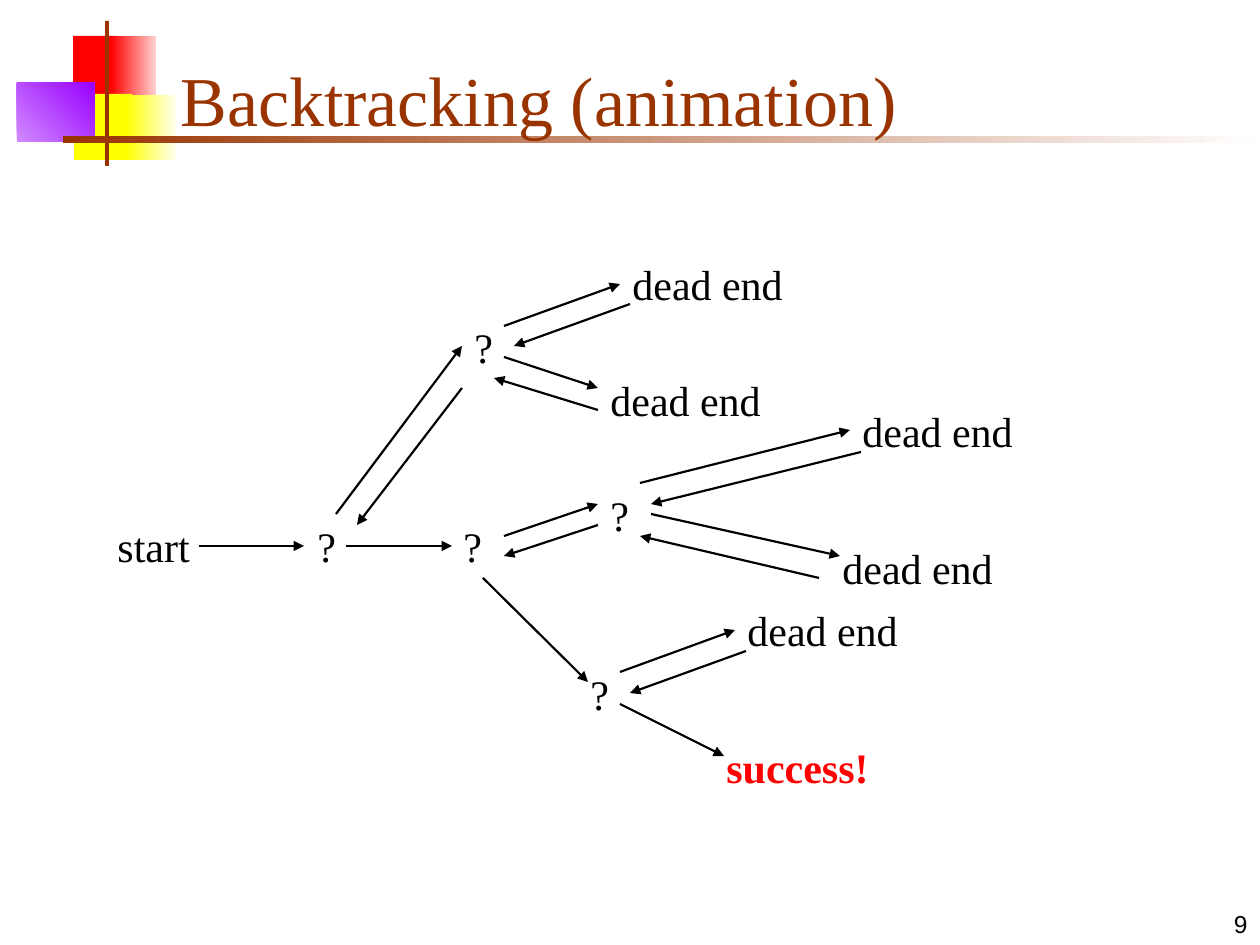
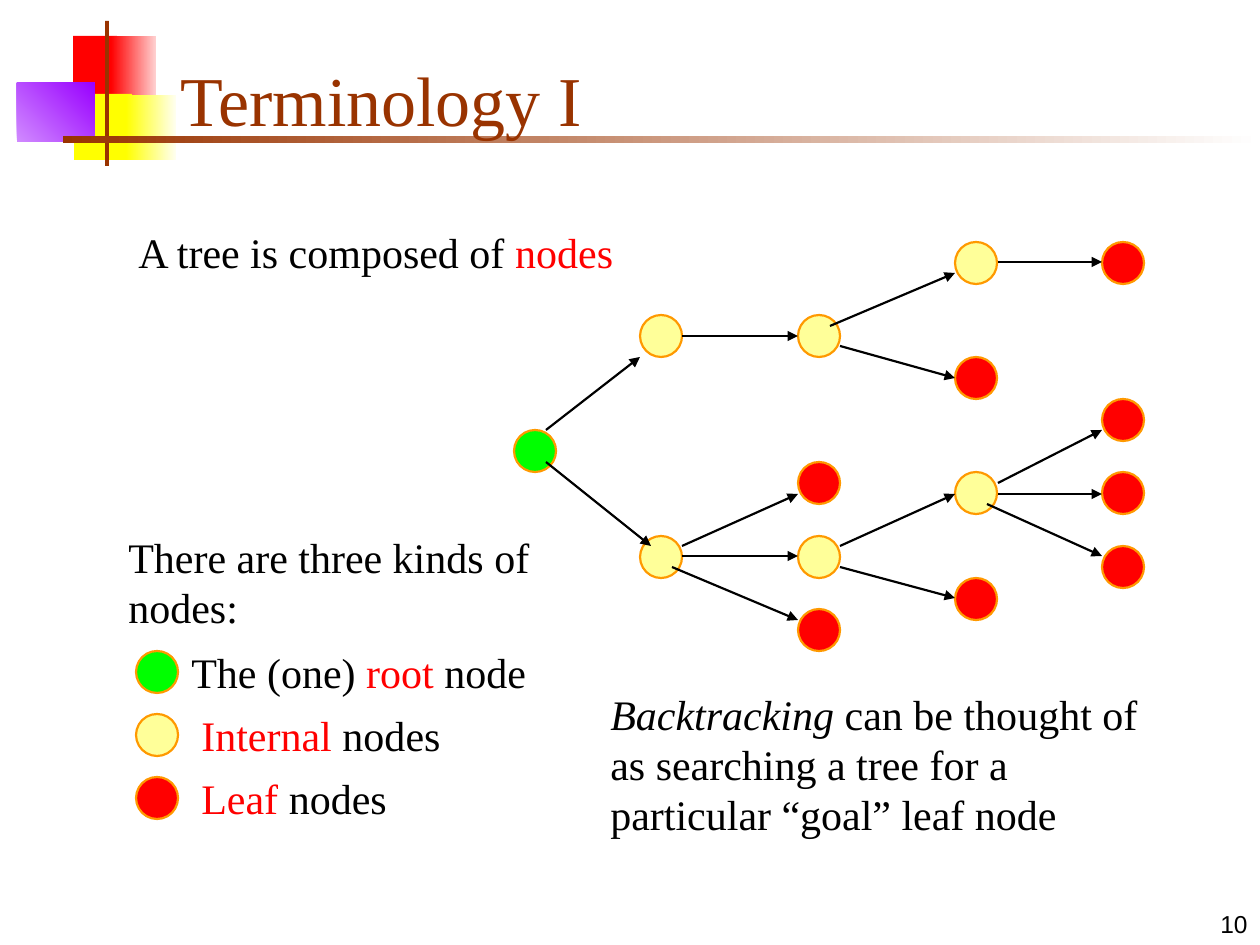
from lxml import etree
from pptx import Presentation
from pptx import util as u
from pptx.dml.color import RGBColor
from pptx.enum import shapes, text
from pptx.oxml import ns

SCALE = 914400 / 126
BLACK = RGBColor(0x00, 0x00, 0x00)
WHITE = RGBColor(0xFF, 0xFF, 0xFF)
RED = RGBColor(0xFF, 0x00, 0x00)
PINK = RGBColor(0xFF, 0xD1, 0xD1)
YELLOW = RGBColor(0xFF, 0xFF, 0x00)
IVORY = RGBColor(0xFF, 0xFF, 0xF0)
LILAC = RGBColor(0xD1, 0x8B, 0xFF)
VIOLET = RGBColor(0x99, 0x00, 0xFF)
BROWN = RGBColor(0x99, 0x33, 0x00)
GREEN = RGBColor(0x00, 0xFF, 0x00)
CREAM = RGBColor(0xFF, 0xFF, 0x99)
ORANGE = RGBColor(0xFF, 0x99, 0x00)
SERIF = "Times New Roman"
SANS = "Arial"

NODE_SIZE = 42
LABEL_HEIGHT = 63

BANDS = [
    ((73, 36, 44, 65), [RED], 0),
    ((111, 36, 45, 65), [RED, PINK], 0),
    ((74, 94, 58, 66), [YELLOW], 0),
    ((126, 95, 50, 65), [YELLOW, IVORY], 0),
    ((17, 83, 78, 59), [LILAC, VIOLET], 45),
    ((105, 21, 4, 145), [BROWN], 0),
    ((63, 136, 1197, 7), [BROWN, WHITE], 0),
]

QUESTIONS = [(305, 514), (462, 315), (451, 514), (598, 483), (578, 662)]
DEAD_ENDS = [(598, 368), (620, 252), (830, 536), (850, 399), (735, 598)]
SEARCH_STEPS = [
    (199, 546, 304, 546), (346, 546, 452, 546),
    (336, 514, 462, 346), (462, 388, 357, 525),
    (504, 326, 620, 284), (630, 304, 514, 346),
    (504, 357, 598, 388), (598, 410, 494, 378),
    (504, 536, 598, 504), (598, 525, 504, 556),
    (640, 483, 850, 430), (861, 452, 651, 504),
    (651, 514, 840, 556), (819, 578, 640, 536),
    (483, 578, 588, 682), (620, 672, 735, 630),
    (746, 651, 630, 693), (620, 704, 724, 756),
]

TREE_COLUMNS = [
    (514, [(430, GREEN)]),
    (640, [(315, CREAM), (536, CREAM)]),
    (798, [(315, CREAM), (462, RED), (536, CREAM), (609, RED)]),
    (955, [(242, CREAM), (357, RED), (472, CREAM), (578, RED)]),
    (1102, [(242, RED), (399, RED), (472, RED), (546, RED)]),
]
TREE_EDGES = [
    (546, 462, 651, 546), (546, 430, 640, 357),
    (682, 336, 798, 336), (830, 326, 955, 273),
    (840, 346, 955, 378), (998, 262, 1102, 262),
    (682, 546, 798, 494), (682, 556, 798, 556),
    (672, 567, 798, 620), (840, 546, 955, 494),
    (840, 567, 955, 598), (998, 483, 1102, 430),
    (998, 494, 1102, 494), (987, 504, 1102, 556),
]
LEGEND = [
    (GREEN, 179, 514, [("The (one) ", BLACK, ""), ("root", RED, ""), (" node", BLACK, "")]),
    (CREAM, 189, 525, [("Internal", RED, ""), (" nodes", BLACK, "")]),
    (RED, 189, 325, [("Leaf", RED, ""), (" nodes", BLACK, "")]),
]


def px(*lengths):
    return [u.Emu(round(length * SCALE)) for length in lengths]


def format_run(run, color, size=24, font=SERIF, style=""):
    run.font.name = font
    run.font.size = u.Pt(size)
    run.font.color.rgb = color
    run.font.bold = "b" in style
    run.font.italic = "i" in style


def add_band(canvas, box, colors, angle):
    band = canvas.add_shape(shapes.MSO_SHAPE.RECTANGLE, *px(*box))
    band.shadow.inherit = False
    band.line.fill.background()
    if len(colors) == 1:
        band.fill.solid()
        band.fill.fore_color.rgb = colors[0]
        return
    band.fill.gradient()
    band.fill.gradient_angle = angle
    for stop, color in zip(band.fill.gradient_stops, colors):
        stop.color.rgb = color


def add_label(canvas, box, spans, space_before=15):
    frame = canvas.add_textbox(*px(*box)).text_frame
    frame.word_wrap = True
    paragraph = frame.paragraphs[0]
    paragraph.space_before = u.Pt(space_before)
    for words, color, style in spans:
        run = paragraph.add_run()
        run.text = words
        format_run(run, color, style=style)


def add_arrow(canvas, ends):
    arrow = canvas.add_connector(shapes.MSO_CONNECTOR.STRAIGHT, *px(*ends))
    arrow.line.color.rgb = BLACK
    arrow.line.width = u.Pt(1.25)
    properties = arrow.element.spPr
    outline = properties.find(ns.qn("a:ln"))
    etree.SubElement(outline, ns.qn("a:tailEnd"), type="triangle")
    etree.SubElement(properties, ns.qn("a:effectLst"))


def add_node(canvas, left, top, color):
    node = canvas.add_shape(shapes.MSO_SHAPE.OVAL, *px(left, top, NODE_SIZE, NODE_SIZE))
    node.shadow.inherit = False
    node.fill.solid()
    node.fill.fore_color.rgb = color
    node.line.color.rgb = ORANGE
    node.line.width = u.Pt(1.25)


def add_page_number(canvas, number):
    frame = canvas.add_textbox(*px(998, 882, 262, 63)).text_frame
    frame.word_wrap = True
    frame.vertical_anchor = text.MSO_ANCHOR.BOTTOM
    frame.text = str(number)
    paragraph = frame.paragraphs[0]
    paragraph.alignment = text.PP_ALIGN.RIGHT
    format_run(paragraph.runs[0], BLACK, 14, SANS)


def add_title(slide, heading):
    title = slide.shapes.title
    title.left, title.top, title.width, title.height = px(168, 32, 1073, 115)
    frame = title.text_frame
    frame.text = heading
    frame.auto_size = text.MSO_AUTO_SIZE.NONE
    frame.vertical_anchor = text.MSO_ANCHOR.BOTTOM
    paragraph = frame.paragraphs[0]
    paragraph.alignment = text.PP_ALIGN.LEFT
    format_run(paragraph.runs[0], BROWN, 40)
    slide.shapes.element.append(title.element)


def start_slide(deck, heading, number):
    slide = deck.slides.add_slide(deck.slide_layouts[5])
    for band in BANDS:
        add_band(slide.shapes, *band)
    add_page_number(slide.shapes, number)
    add_title(slide, heading)
    return slide.shapes


def build_backtracking(deck):
    canvas = start_slide(deck, "Backtracking (animation)", 9)
    add_label(canvas, (105, 514, 105, LABEL_HEIGHT), [("start", BLACK, "")])
    for left, top in QUESTIONS:
        add_label(canvas, (left, top, 63, LABEL_HEIGHT), [("?", BLACK, "")])
    for left, top in DEAD_ENDS:
        add_label(canvas, (left, top, 220, LABEL_HEIGHT), [("dead end", BLACK, "")])
    add_label(canvas, (714, 735, 220, LABEL_HEIGHT), [("success!", RED, "b")])
    for step in SEARCH_STEPS:
        add_arrow(canvas, step)


def build_terminology(deck):
    canvas = start_slide(deck, "Terminology I", 10)
    tree = canvas.add_group_shape().shapes
    for left, nodes in TREE_COLUMNS:
        for top, color in nodes:
            add_node(tree, left, top, color)
    for edge in TREE_EDGES:
        add_arrow(tree, edge)

    add_label(canvas, (116, 525, 441, 113), [("There are three kinds of nodes:", BLACK, "")])
    add_label(canvas, (126, 220, 525, 140),
              [("A tree is composed of ", BLACK, ""), ("nodes", RED, "")], 0)
    for row, (color, left, width, spans) in enumerate(LEGEND):
        entry = canvas.add_group_shape().shapes
        top = 651 + row * LABEL_HEIGHT
        add_node(entry, 136, top, color)
        add_label(entry, (left, top - 11, width, LABEL_HEIGHT), spans)
    add_label(canvas, (598, 682, 557, 164), [
        ("Backtracking", BLACK, "i"),
        (" can be thought of as searching a tree for a particular “goal” leaf node", BLACK, ""),
    ])


def main():
    deck = Presentation()
    deck.slide_width, deck.slide_height = px(1260, 945)
    build_backtracking(deck)
    build_terminology(deck)
    deck.save("out.pptx")


main()
